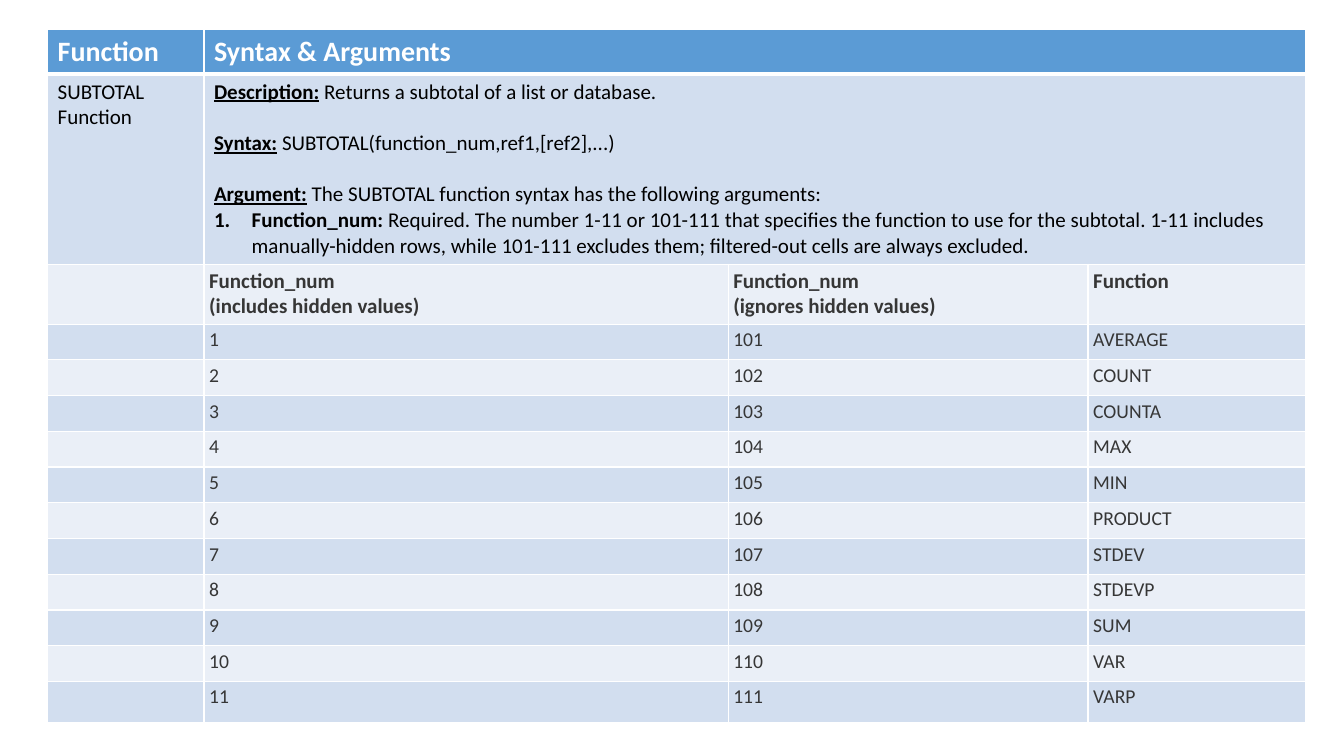
from lxml.etree import SubElement
from pptx import Presentation
from pptx.dml.color import RGBColor
from pptx.oxml.ns import qn
from pptx.util import Cm, Pt

THEME = {
    "font": "Calibri", "white": "FFFFFF", "black": "000000", "grey": "363636",
    "header": "5B9BD5", "dark_band": "D2DEEF", "light_band": "EAEFF7",
    "header_size": 20, "body_size": 15, "number_size": 14,
    "thin": 1, "thick": 3,
}


def style_span(span, size, color, bold=False, underline=False):
    span.font.name = THEME["font"]
    span.font.size = Pt(size)
    span.font.color.rgb = RGBColor.from_string(THEME[color])
    span.font.bold = bold
    span.font.underline = underline


def paint_cell(cell, fill, top, bottom):
    properties = cell._tc.get_or_add_tcPr()
    sides = {"a:lnL": "thin", "a:lnR": "thin", "a:lnT": top, "a:lnB": bottom}
    for side, weight in sides.items():
        line = SubElement(properties, qn(side), w=str(Pt(THEME[weight])))
        solid = SubElement(line, qn("a:solidFill"))
        SubElement(solid, qn("a:srgbClr"), val=THEME["white"])
    cell.fill.solid()
    cell.fill.fore_color.rgb = RGBColor.from_string(THEME[fill])


deck = Presentation()
deck.slide_width, deck.slide_height = Cm(33.87), Cm(19.05)
page = deck.slides.add_slide(deck.slide_layouts[6])

column_widths = [3.94, 13.21, 9.07, 5.49]
row_heights = [1.11, 4.79, 1.51] + [0.9] * 10 + [1.03]
functions = ["AVERAGE", "COUNT", "COUNTA", "MAX", "MIN", "PRODUCT",
             "STDEV", "STDEVP", "SUM", "VAR", "VARP"]
rows = [
    ["Function", "Syntax & Arguments", "", ""],
    ["SUBTOTAL Function", "", "", ""],
    ["", "Function_num\u00a0\v(includes hidden values)",
     "Function_num\u00a0\v(ignores hidden values)", "Function"],
]
for number, name in enumerate(functions, 1):
    rows.append(["", str(number), str(100 + number), name])

table = page.shapes.add_table(
    len(rows), len(column_widths), Cm(1.2), Cm(0.75),
    Cm(sum(column_widths)), Cm(sum(row_heights))).table
for column, width in zip(table.columns, column_widths):
    column.width = Cm(width)
for row, height in zip(table.rows, row_heights):
    row.height = Cm(height)
for row_index in (0, 1):
    table.cell(row_index, 1).merge(table.cell(row_index, 3))

row_styles = [("header_size", "white", True), ("body_size", "black", False),
              ("body_size", "grey", True)]
for row_index, texts in enumerate(rows):
    band = "dark_band" if row_index % 2 else "light_band"
    fill = "header" if row_index == 0 else band
    top = "thick" if row_index == 1 else "thin"
    bottom = "thick" if row_index == 0 else "thin"
    size_name, color, bold = (row_styles[row_index] if row_index < 3
                              else ("number_size", "grey", False))
    size = THEME[size_name]
    for column_index, text in enumerate(texts):
        cell = table.cell(row_index, column_index)
        paint_cell(cell, fill, top, bottom)
        if row_index > 1 and column_index > 0:
            cell.margin_left = Cm(0.13)
            cell.margin_top = cell.margin_bottom = Cm(0.1)
        para = cell.text_frame.paragraphs[0]
        if not text:
            SubElement(para._p, qn("a:endParaRPr"), sz=str(size * 100))
            continue
        para.text = text
        for span in para.runs:
            style_span(span, size, color, bold)
        for line_break in para._p.findall(qn("a:br")):
            SubElement(line_break, qn("a:rPr"), sz=str(size * 100))

details = [
    ("Description:", " Returns a subtotal of a list or database."),
    ("Syntax:", " SUBTOTAL(function_num,ref1,[ref2],...)"),
    ("Argument:", " The SUBTOTAL function syntax has the following arguments:"),
    ("Function_num: ", "Required. The number 1-11 or 101-111 that specifies the "
     "function to use for the subtotal. 1-11 includes manually-hidden rows, while "
     "101-111 excludes them; filtered-out cells are always excluded."),
]
frame = table.cell(1, 1).text_frame
for index, (label, text) in enumerate(details):
    para = frame.paragraphs[0] if index == 0 else frame.add_paragraph()
    numbered = index == len(details) - 1
    for words, is_label in ((label, True), (text, False)):
        span = para.add_run()
        span.text = words
        style_span(span, THEME["body_size"], "black", is_label,
                   is_label and not numbered)
    if numbered:
        properties = para._p.get_or_add_pPr()
        properties.set("marL", str(Cm(0.95)))
        properties.set("indent", str(-Cm(0.95)))
        SubElement(properties, qn("a:buFont"), typeface="+mj-lt")
        SubElement(properties, qn("a:buAutoNum"), type="arabicPeriod")
    elif index > 0:
        para.space_before = Pt(18.3)

deck.save("out.pptx")
